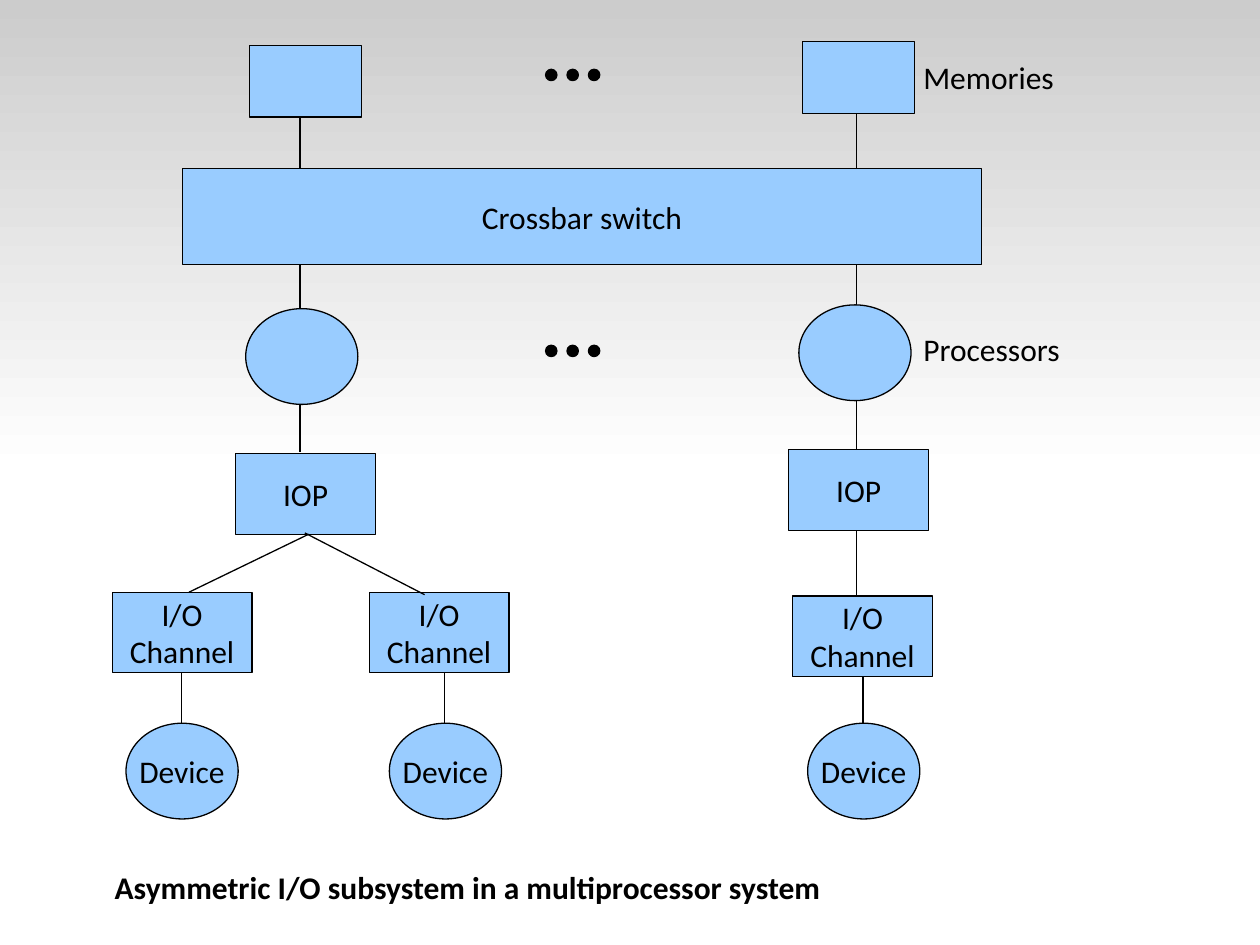
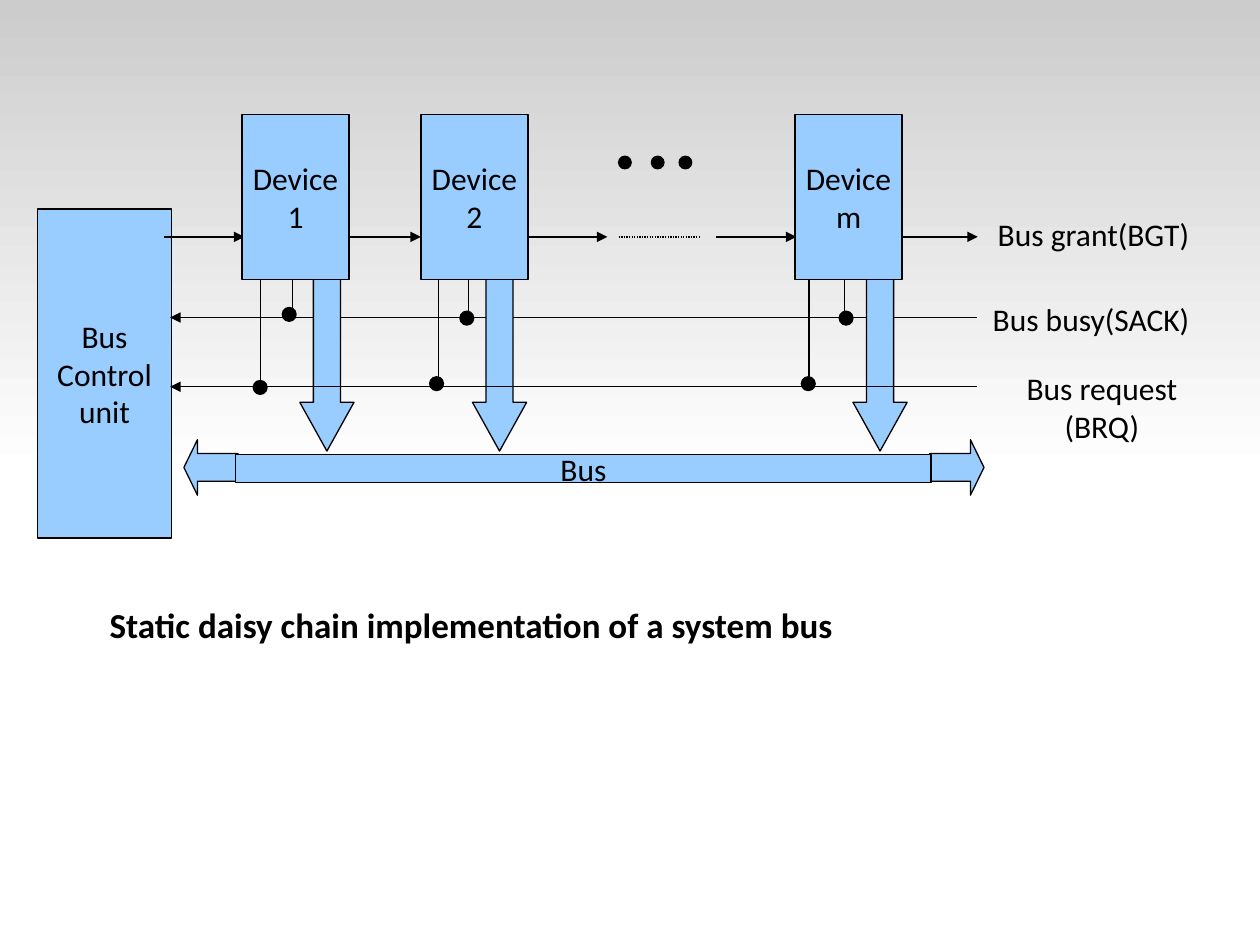
from lxml.etree import SubElement
from pptx import Presentation
from pptx.dml.color import RGBColor
from pptx.enum.dml import MSO_LINE as Dash
from pptx.enum.shapes import MSO_CONNECTOR as Link, MSO_SHAPE as Kind
from pptx.enum.text import MSO_ANCHOR as Anchor, MSO_AUTO_SIZE as Fit, PP_ALIGN as Align
from pptx.oxml.ns import qn
from pptx.util import Inches, Pt

FONT, INK, BLUE, GRAY, WHITE = "Calibri", "000000", "99CCFF", "CCCCCC", "FFFFFF"


def rgb(code):
    return RGBColor.from_string(code)


def write(shape, text, align, anchor, wrap=True, size=18, bold=False):
    frame = shape.text_frame
    frame.text = text
    frame.word_wrap = wrap
    frame.auto_size = Fit.NONE
    frame.vertical_anchor = anchor
    frame.margin_left = frame.margin_right = Inches(0.1)
    frame.margin_top = frame.margin_bottom = Inches(0.05)
    for para in frame.paragraphs:
        para.alignment = align
        for run in para.runs:
            font = run.font
            font.name, font.size, font.bold = FONT, Pt(size), bold
            font.color.rgb = rgb(INK)


def block(slide, kind, x, y, w, h, text="", fill=BLUE, adjust=()):
    shape = slide.shapes.add_shape(kind, Inches(x), Inches(y), Inches(w), Inches(h))
    shape.shadow.inherit = False
    shape.fill.solid()
    shape.fill.fore_color.rgb = rgb(fill)
    shape.line.color.rgb = rgb(INK)
    shape.line.width = Pt(0.75)
    for i, value in enumerate(adjust):
        shape.adjustments[i] = value
    if text:
        write(shape, text, Align.CENTER, Anchor.MIDDLE, wrap=False)
    return shape


def wire(slide, x1, y1, x2, y2, head=False, dash=None):
    link = slide.shapes.add_connector(
        Link.STRAIGHT, Inches(x1), Inches(y1), Inches(x2), Inches(y2))
    link.line.color.rgb = rgb(INK)
    link.line.width = Pt(0.75)
    if dash:
        link.line.dash_style = dash
    props = link.element.spPr
    if head:
        SubElement(props.find(qn("a:ln")), qn("a:tailEnd"), type="triangle")
    SubElement(props, qn("a:effectLst"))


def dot(slide, x, y, size):
    block(slide, Kind.OVAL, x, y, size, size, fill=INK)


def label(slide, x, y, w, h, text, align=Align.LEFT):
    box = slide.shapes.add_textbox(Inches(x), Inches(y), Inches(w), Inches(h))
    write(box, text, align, Anchor.TOP)


def start(deck, text, x, y, size):
    """Add a slide whose title is the caption below the drawing."""
    slide = deck.slides.add_slide(deck.slide_layouts[5])
    title = slide.shapes.title
    title.left, title.top = Inches(x), Inches(y)
    title.width, title.height = Inches(8.25), Inches(0.43)
    write(title, text, Align.LEFT, Anchor.TOP, size=size, bold=True)
    return slide


def shade(slide):
    """Put the fading band behind every slide of this layout."""
    band = block(slide, Kind.RECTANGLE, 0, 0, 10, 3.75)
    band.line.fill.background()
    band.fill.gradient()
    band.fill.gradient_angle = 270
    for stop, code, place in zip(band.fill.gradient_stops, (GRAY, WHITE), (0, 1)):
        stop.color.rgb = rgb(code)
        stop.position = place
    slide.slide_layout.shapes.element.insert(2, band.element)


# Multiprocessor slide
def column(slide, x, y, mid, end):
    """Memory, processor and IOP on one vertical wire."""
    wire(slide, mid, y + 0.55, mid, end)
    block(slide, Kind.RECTANGLE, x + 0.11, y, 0.89, 0.57)
    block(slide, Kind.OVAL, x + 0.08, y + 2.09, 0.89, 0.76)
    block(slide, Kind.RECTANGLE, x, y + 3.24, 1.11, 0.64, "IOP")


def branch(slide, x, y, shift):
    """I/O channel with its device below."""
    mid = x + shift + 0.44
    wire(slide, mid, 5.29, mid, 5.76)
    block(slide, Kind.RECTANGLE, x, y, 1.11, 0.64, "I/O\nChannel")
    block(slide, Kind.OVAL, x + shift, 5.74, 0.89, 0.76, "Device")


def system(deck):
    slide = start(deck, "Asymmetric I/O subsystem in a multiprocessor system", 0.81, 6.84, 18)
    shade(slide)
    column(slide, 1.87, 0.36, 2.38, 3.59)
    column(slide, 6.26, 0.33, 6.8, 4.96)
    block(slide, Kind.RECTANGLE, 1.45, 1.34, 6.34, 0.76, "Crossbar switch")
    for x, y, shift in ((0.89, 4.7, 0.11), (2.93, 4.7, 0.16), (6.29, 4.73, 0.12)):
        branch(slide, x, y, shift)
    wire(slide, 2.45, 4.24, 1.5, 4.7)
    wire(slide, 2.42, 4.23, 3.37, 4.72)
    for y in (0.55, 2.74):
        for i in range(3):
            dot(slide, 4.33 + 0.17 * i, y, 0.09)
    label(slide, 7.23, 0.41, 1.77, 0.65, "Memories")
    label(slide, 7.23, 2.57, 2.02, 0.65, "Processors")


# Daisy chain slide
def device(slide, x, y, name, ask, ask_dot, busy, busy_dot, arrow):
    """Device box with its two taps and its arrow to the bus."""
    for dx, end, (dot_x, dot_y) in ((ask, 2.14, ask_dot), (busy, 1.6, busy_dot)):
        wire(slide, x + dx, y + 1.17, x + dx, y + end)
        dot(slide, x + dot_x, y + dot_y, 0.11)
    block(slide, Kind.DOWN_ARROW, x + arrow, y + 1.15, 0.43, 1.52, adjust=(0.5, 0.9))
    block(slide, Kind.RECTANGLE, x, y, 0.85, 1.31, f"Device\n{name}")


def bus(slide, x, y):
    """Bus bar between two outward arrows."""
    for kind, dx in ((Kind.LEFT_ARROW, 0), (Kind.RIGHT_ARROW, 5.92)):
        block(slide, kind, x + dx, y, 0.43, 0.44, adjust=(0.5, 0.25))
    block(slide, Kind.RECTANGLE, x + 0.41, y + 0.12, 5.52, 0.22, "Bus")


def chain(deck):
    slide = start(deck, "Static daisy chain implementation of a system bus", 0.77, 4.74, 20)
    block(slide, Kind.RECTANGLE, 0.3, 1.66, 1.06, 2.61, "Bus\nControl\nunit")
    # Grant line, from device to device
    for x in (1.3, 2.7, 4.18, 5.68, 7.12):
        wire(slide, x, 1.88, x + 0.64, 1.88, head=True)
    wire(slide, 4.91, 1.88, 5.55, 1.88, dash=Dash.ROUND_DOT)
    # Busy line runs behind the arrows, request line in front
    wire(slide, 7.75, 2.52, 1.35, 2.52, head=True)
    taps = (
        (1.92, "1", 0.15, (0.09, 2.11), 0.4, (0.32, 1.53), 0.46),
        (3.34, "2", 0.14, (0.07, 2.08), 0.38, (0.31, 1.56), 0.41),
        (6.31, "m", 0.11, (0.05, 2.08), 0.39, (0.35, 1.56), 0.46),
    )
    for x, *rest in taps:
        device(slide, x, 0.91, *rest)
    wire(slide, 7.75, 3.07, 1.35, 3.07, head=True)
    bus(slide, 1.46, 3.49)
    for x in (4.91, 5.17, 5.39):
        dot(slide, x, 1.24, 0.1)
    label(slide, 7.82, 1.66, 2.25, 0.4, "Bus grant(BGT)")
    label(slide, 7.78, 2.33, 2.25, 0.4, "Bus busy(SACK)")
    label(slide, 7.82, 2.88, 1.85, 0.7, "Bus request\n(BRQ)", Align.CENTER)


def main():
    deck = Presentation()
    deck.slide_width, deck.slide_height = Inches(10), Inches(7.5)
    system(deck)
    chain(deck)
    deck.save("out.pptx")


if __name__ == "__main__":
    main()
